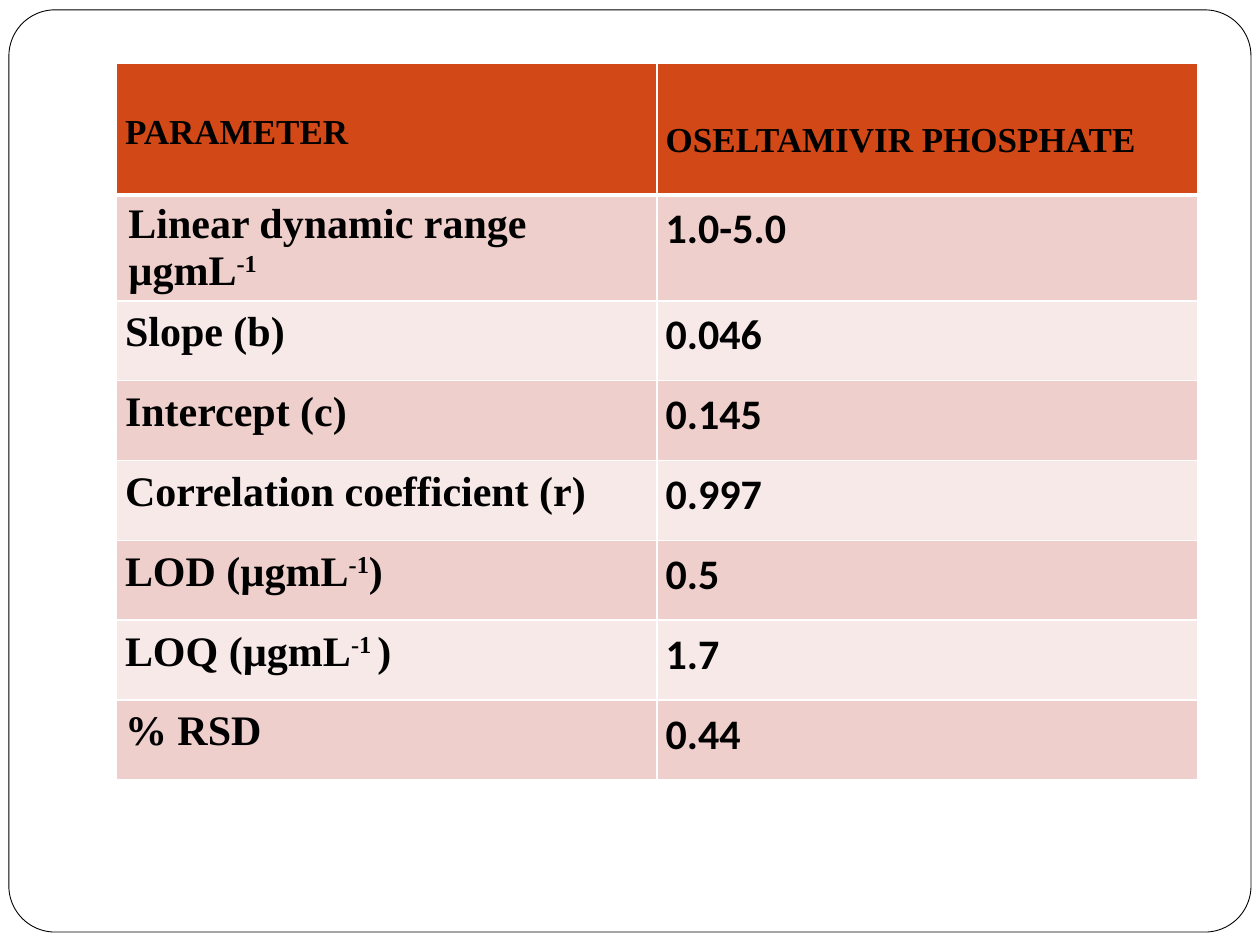
import dataclasses
import lxml.etree
import pptx
import pptx.dml.color
import pptx.enum.shapes
import pptx.oxml.ns
import pptx.util

Cm = pptx.util.Cm
Pt = pptx.util.Pt
qn = pptx.oxml.ns.qn

HUES = {
    "ink": "000000",
    "paper": "FFFFFF",
    "head": "D34817",
    "dark": "EFCFCC",
    "light": "F7E9E8",
}
SERIF = "Times New Roman"
SANS = "Calibri"


@dataclasses.dataclass
class Entry:
    words: tuple[str, ...]
    face: str = SERIF
    size: int = 24
    side: float = 0.18
    top: float = 0.03
    base: float = 0
    lead: float = 1.15


@dataclasses.dataclass
class Row:
    label: Entry
    value: Entry
    tall: float = 1.61


def hue(name: str) -> pptx.dml.color.RGBColor:
    return pptx.dml.color.RGBColor.from_string(HUES[name])


def draw_frame(slide) -> None:
    frame = slide.shapes.add_shape(
        pptx.enum.shapes.MSO_SHAPE.ROUNDED_RECTANGLE,
        Cm(0.18), Cm(0.2), Cm(25.04), Cm(18.59))
    frame.adjustments[0] = 0.05
    frame.shadow.inherit = False
    frame.fill.solid()
    frame.fill.fore_color.rgb = hue("paper")
    frame.line.color.rgb = hue("ink")
    frame.line.width = Pt(0.5)


def draw_edge(cell, side: str, width: float, place: int) -> None:
    edge = lxml.etree.Element(qn(f"a:ln{side}"), w=str(Pt(width)))
    fill = lxml.etree.SubElement(edge, qn("a:solidFill"))
    lxml.etree.SubElement(fill, qn("a:srgbClr"), val=HUES["paper"])
    cell._tc.get_or_add_tcPr().insert(place, edge)


def draw_cell(cell, entry: Entry, index: int) -> None:
    cell.fill.solid()
    shade = "head" if index == 0 else "dark" if index % 2 else "light"
    cell.fill.fore_color.rgb = hue(shade)
    cell.margin_left = cell.margin_right = Cm(entry.side)
    cell.margin_top = Cm(entry.top)
    cell.margin_bottom = Cm(entry.base)
    heavy = {(0, "B"), (1, "T")}
    for place, side in enumerate("LRTB"):
        draw_edge(cell, side, 3 if (index, side) in heavy else 1, place)

    para = cell.text_frame.paragraphs[0]
    para.line_spacing = entry.lead
    para.font.name = entry.face
    para.font.size = Pt(entry.size)
    para.font.bold = True
    para.font.color.rgb = hue("ink")
    for order, word in enumerate(entry.words):
        run = para.add_run()
        run.text = word
        if order == 1:
            run._r.get_or_add_rPr().set("baseline", "30000")


def draw_table(slide, rows: list[Row]) -> None:
    total = sum(row.tall for row in rows)
    table = slide.shapes.add_table(
        len(rows), 2, Cm(2.34), Cm(1.27), Cm(21.8), Cm(total)).table
    table.first_row = False
    table.horz_banding = False
    for index, row in enumerate(rows):
        table.rows[index].height = Cm(row.tall)
        draw_cell(table.cell(index, 0), row.label, index)
        draw_cell(table.cell(index, 1), row.value, index)


def main() -> None:
    deck = pptx.Presentation()
    deck.slide_width, deck.slide_height = Cm(25.4), Cm(19.05)
    slide = deck.slides.add_slide(deck.slide_layouts[6])
    draw_frame(slide)

    header = Row(Entry(("PARAMETER",), size=20, top=0.89),
                 Entry(("OSELTAMIVIR PHOSPHATE",), size=20, top=1.05), 2.66)
    span = Row(Entry(("Linear dynamic range µgmL", "-1"),
                     side=0.25, top=0.13, base=0.13, lead=1),
               Entry(("1.0-5.0",), SANS), 2.1)
    plain = [
        (("Slope (b)",), "0.046"),
        (("Intercept (c)",), "0.145"),
        (("Correlation coefficient (r)",), "0.997"),
        (("LOD (µgmL", "-1", ")"), "0.5"),
        (("LOQ (µgmL", "-1 ", ")"), "1.7"),
        (("% RSD",), "0.44"),
    ]
    rows = [Row(Entry(label), Entry((value,), SANS)) for label, value in plain]
    draw_table(slide, [header, span, *rows])
    deck.save("out.pptx")


if __name__ == "__main__":
    main()
